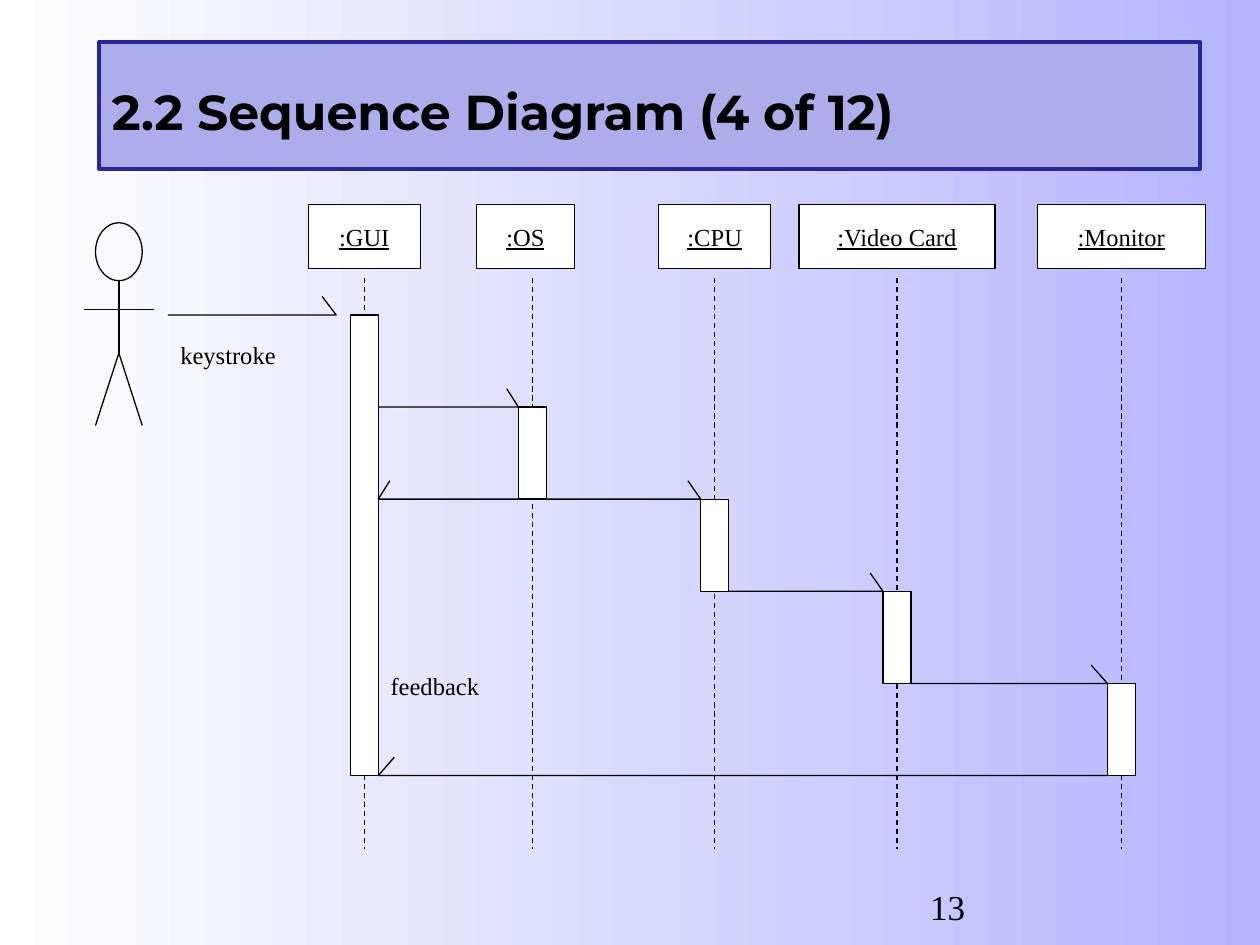
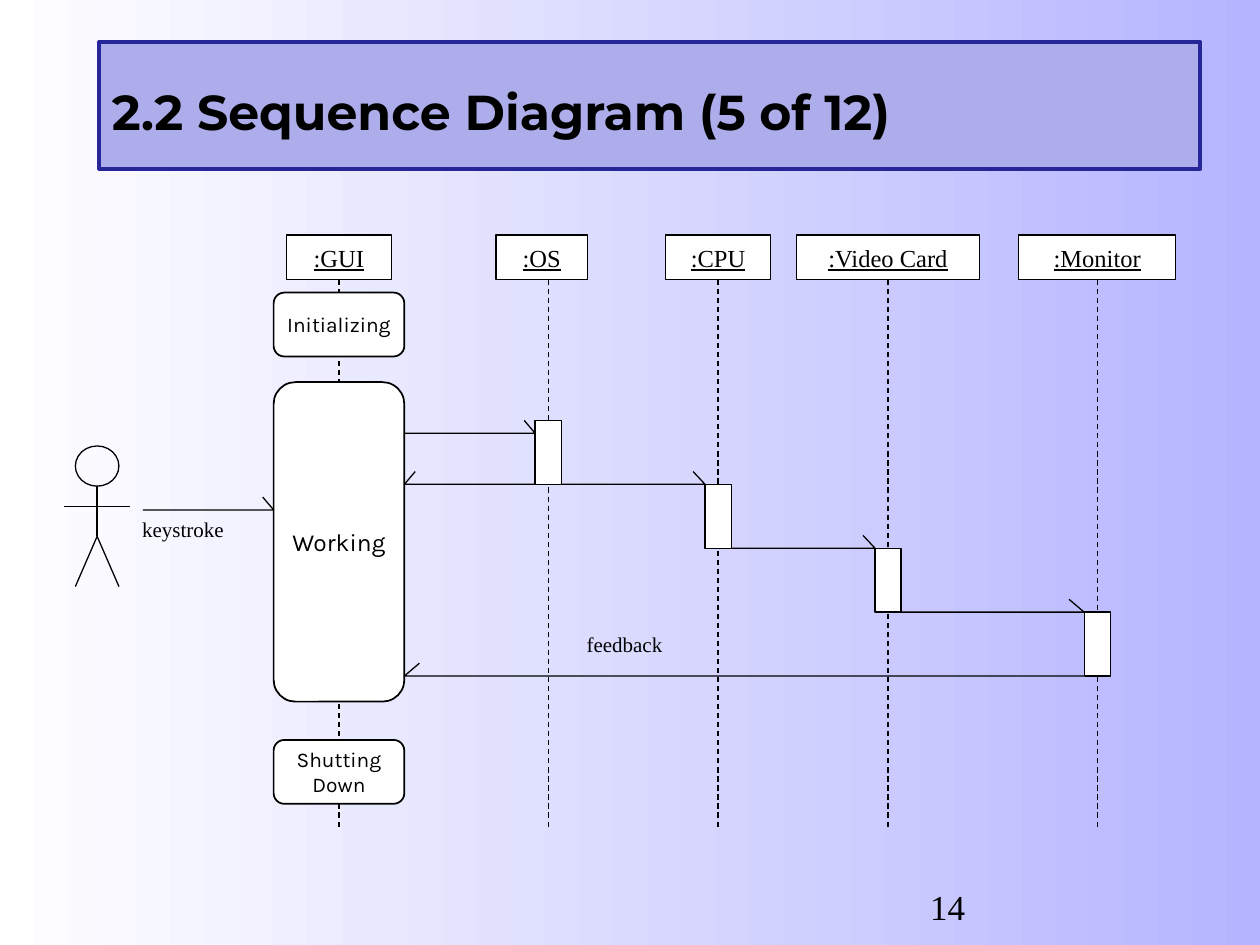
from collections import namedtuple

from pptx import Presentation
from pptx.dml.color import RGBColor
from pptx.enum.dml import MSO_LINE
from pptx.enum.shapes import MSO_CONNECTOR, MSO_SHAPE
from pptx.enum.text import MSO_ANCHOR, MSO_AUTO_SIZE, PP_ALIGN
from pptx.oxml.ns import qn
from pptx.util import Cm, Pt

BLACK, WHITE, LILAC = "000000", "FFFFFF", "B5B5FF"
BAND_FILL, BAND_LINE = "ADADEB", "262699"
SERIF, SANS, TITLE_FONT = "Times New Roman", "Karla", "Montserrat"

# Objects from left to right, with the width of each head in grid columns
HEADS = {"GUI": 8, "OS": 7, "CPU": 8, "Video Card": 14, "Monitor": 12}
HEAD_ROWS = 7
STEP = 10          # rows one activation lasts
ARM_SPAN = 5       # columns the actor takes
ACTOR_ROWS = 22

Label = namedtuple("Label", "text col row")
State = namedtuple("State", "text row rows size")


class Grid:
    """Divides a box (left, top, width, height in cm) into columns and rows."""

    def __init__(self, box, cols, rows):
        self.left, self.top, width, height = map(Cm, box)
        self.col, self.row = width / cols, height / rows

    def at(self, col, row):
        return round(self.left + col * self.col), round(self.top + row * self.row)

    def box(self, col, row, cols, rows):
        return (*self.at(col, row), round(cols * self.col), round(rows * self.row))


def rgb(value):
    return RGBColor.from_string(value)


def style(shape, fill=None, line=BLACK, width=0.75):
    shape.shadow.inherit = False
    if fill:
        shape.fill.solid()
        shape.fill.fore_color.rgb = rgb(fill)
    else:
        shape.fill.background()
    shape.line.color.rgb = rgb(line)
    shape.line.width = Pt(width)
    return shape


def write(shape, text, size, font=SERIF, align=PP_ALIGN.LEFT, wrap=True,
          anchor=MSO_ANCHOR.TOP, **marks):
    """Fills a shape with text, one paragraph per line; marks are font flags."""
    tf = shape.text_frame
    tf.text = text
    tf.word_wrap = wrap
    tf.auto_size = MSO_AUTO_SIZE.NONE
    tf.vertical_anchor = anchor
    for p in tf.paragraphs:
        p.alignment = align
        p.font.name, p.font.size = font, Pt(size)
        p.font.color.rgb = rgb(BLACK)
        for mark, value in marks.items():
            setattr(p.font, mark, value)
    return tf


def add_box(s, box, kind=MSO_SHAPE.RECTANGLE, fill=WHITE, width=0.75):
    return style(s.shapes.add_shape(kind, *box), fill, width=width)


def add_line(s, start, end):
    line = s.shapes.add_connector(MSO_CONNECTOR.STRAIGHT, *start, *end)
    line.line.color.rgb = rgb(BLACK)
    line.line.width = Pt(0.75)
    sp_pr = line._element.spPr
    sp_pr.append(sp_pr.makeelement(qn("a:effectLst"), {}))
    return line


def add_actor(s, grid, row):
    """Stick figure whose arms start at the left edge of the grid."""
    def joint(across, down):
        return grid.at(across * ARM_SPAN, row + down * ACTOR_ROWS)

    left, middle, right = 1 / 6, 1 / 2, 5 / 6
    neck, arms, hip = 2 / 7, 3 / 7, 4.5 / 7
    add_box(s, grid.box(left * ARM_SPAN, row, (right - left) * ARM_SPAN,
                        neck * ACTOR_ROWS), MSO_SHAPE.OVAL, fill=None)
    add_line(s, joint(middle, neck), joint(middle, hip))
    add_line(s, joint(0, arms), joint(1, arms))
    for foot in (left, right):
        add_line(s, joint(middle, hip), joint(foot, 1))


def add_lifelines(s, grid, lives, gap, rows):
    for (name, cols), life in zip(HEADS.items(), lives.values()):
        head = add_box(s, grid.box(life - (cols + 1) // 2, 0, cols, HEAD_ROWS))
        write(head, f":{name}", 14, align=PP_ALIGN.CENTER, wrap=False,
              anchor=MSO_ANCHOR.MIDDLE, underline=True)
        line = add_line(s, grid.at(life, HEAD_ROWS + gap), grid.at(life, rows))
        line.line.dash_style = MSO_LINE.DASH
        if gap == 0 and cols % 2 == 0:
            line.begin_connect(head, 2)


def add_message(s, grid, start, end, row):
    """Line along a row with a half arrowhead above its end."""
    span = start - end
    barb = min(abs(span) / 12, 1.15) * (1 if span > 0 else -1)
    path = s.shapes.build_freeform(*grid.at(start, row), scale=1.0)
    path.add_line_segments([grid.at(end, row), grid.at(end + barb, row - 2)],
                           close=False)
    style(path.convert_to_shape())


def add_calls(s, grid, lives, gui_half, first_row, call_row):
    """Activation bars, the call that opens each one, and replies to the GUI."""
    gui_edge = lives["GUI"] + gui_half
    caller_edge, row = gui_edge, first_row
    for name in list(HEADS)[1:]:
        left, right = lives[name] - 1, lives[name] + 1
        add_box(s, grid.box(left, row, 2, STEP))
        add_message(s, grid, caller_edge, left, call_row if name == "OS" else row)
        row += STEP
        if name in ("OS", "Monitor"):
            add_message(s, grid, left, gui_edge, row)
        caller_edge = right


def add_states(s, grid, life, half, states):
    for state in states:
        shape = add_box(s, grid.box(life - half, state.row, 2 * half, state.rows),
                        MSO_SHAPE.ROUNDED_RECTANGLE, width=1)
        shape.adjustments[0] = 0.167
        write(shape, state.text, state.size, SANS, PP_ALIGN.CENTER, False,
              MSO_ANCHOR.MIDDLE)


def add_labels(s, grid, labels, size):
    for label in labels:
        tb = s.shapes.add_textbox(*grid.box(label.col, label.row, 9, 5))
        write(tb, label.text, size)


def sequence_diagram(s, box, cols, rows, life_cols, gap, actor_row, key_row,
                     first_row, call_row, labels, label_size,
                     states=(), gui_half=1):
    grid = Grid(box, cols, rows)
    lives = dict(zip(HEADS, life_cols))
    add_lifelines(s, grid, lives, gap, rows)
    add_actor(s, grid, actor_row)
    if states:
        add_states(s, grid, lives["GUI"], gui_half, states)
    else:
        add_box(s, grid.box(lives["GUI"] - gui_half, key_row, 2 * gui_half, 5 * STEP))
    # Without states the keystroke stops one column before the bar
    key_end = lives["GUI"] - gui_half - (0 if states else 1)
    add_message(s, grid, ARM_SPAN + 1, key_end, key_row)
    add_calls(s, grid, lives, gui_half, first_row, call_row)
    add_labels(s, grid, labels, label_size)


def add_title(s, text):
    title = s.shapes.title
    title.left, title.top, title.width, title.height = map(Cm, (2, 0.85, 22.2, 2.55))
    style(title, BAND_FILL, BAND_LINE, 2.25)
    tf = write(title, text, 28, TITLE_FONT, anchor=MSO_ANCHOR.MIDDLE, bold=True)
    tf.paragraphs[0].line_spacing = 1.2


def add_page_number(s, number):
    tb = s.shapes.add_textbox(*map(Cm, (18.5, 17.72, 3.38, 0.92)))
    write(tb, str(number), 20)


def set_background(master):
    fill = master.background.fill
    fill.gradient()
    fill.gradient_angle = 0
    for stop, position, colour in zip(fill.gradient_stops, (0, 1), (WHITE, LILAC)):
        stop.position = position
        stop.color.rgb = rgb(colour)


def add_diagram_slide(prs, part, number, **diagram):
    s = prs.slides.add_slide(prs.slide_layouts[5])
    add_title(s, f"2.2 Sequence Diagram ({part} of 12)")
    add_page_number(s, number)
    sequence_diagram(s, **diagram)


def main():
    prs = Presentation()
    prs.slide_width, prs.slide_height = Cm(25.4), Cm(19.05)
    set_background(prs.slide_master)

    add_diagram_slide(
        prs, 4, 13, box=(1.69, 4.12, 22.61, 13), cols=80, rows=70,
        life_cols=(20, 32, 45, 58, 74), gap=1, actor_row=2, key_row=12,
        first_row=22, call_row=22, label_size=14,
        labels=[Label("keystroke", 6, 14), Label("feedback", 21, 50)])

    add_diagram_slide(
        prs, 5, 14, box=(1.3, 4.74, 22.4, 11.98), cols=85, rows=93,
        life_cols=(21, 37, 50, 63, 79), gap=0, actor_row=33, key_row=43,
        first_row=29, call_row=31, label_size=12, gui_half=5,
        labels=[Label("keystroke", 5, 43), Label("feedback", 39, 61)],
        states=[State("Initializing", 9, 10, 12), State("Working", 23, 50, 14),
                State("Shutting\nDown", 79, 10, 12)])

    prs.save("out.pptx")


if __name__ == "__main__":
    main()
